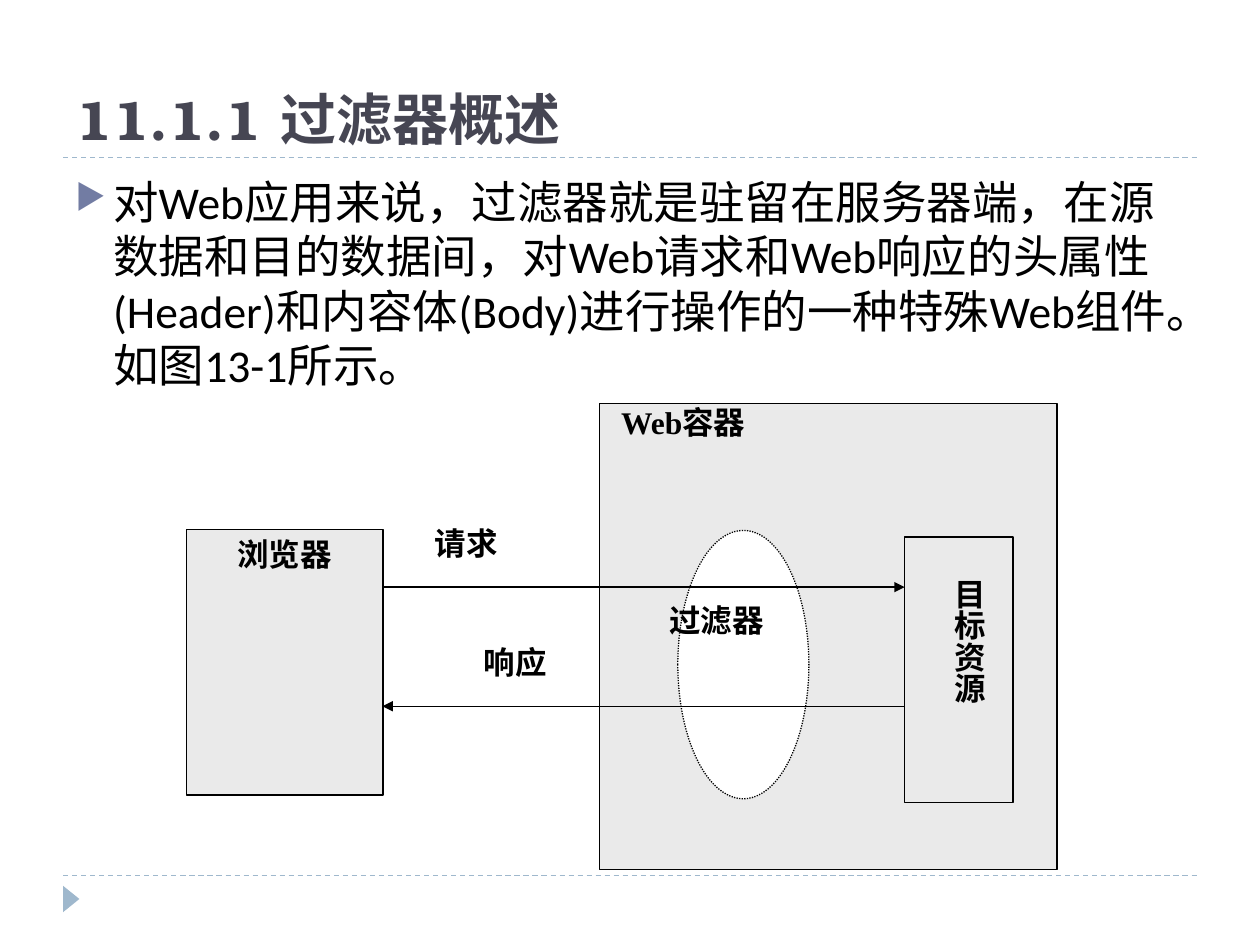
from lxml import etree
from pptx import Presentation
from pptx.dml.color import RGBColor
from pptx.enum.dml import MSO_LINE
from pptx.enum.shapes import MSO_CONNECTOR, MSO_SHAPE
from pptx.enum.text import MSO_ANCHOR, PP_ALIGN
from pptx.oxml.ns import qn
from pptx.util import Inches, Pt

RECT, OVAL, TRIANGLE = MSO_SHAPE.RECTANGLE, MSO_SHAPE.OVAL, MSO_SHAPE.ISOSCELES_TRIANGLE
STRAIGHT = MSO_CONNECTOR.STRAIGHT
DASH, DOT = MSO_LINE.DASH, MSO_LINE.ROUND_DOT
TOP, BOTTOM = MSO_ANCHOR.TOP, MSO_ANCHOR.BOTTOM
LEFT, CENTER = PP_ALIGN.LEFT, PP_ALIGN.CENTER
COLORS = {name: RGBColor.from_string(value) for name, value in {
    "rule": "9FB8CD", "title": "464653", "bullet": "727CA3",
    "black": "000000", "gray": "EAEAEA", "white": "FFFFFF"}.items()}
LABEL = {"name": "Times New Roman", "size": Pt(18), "bold": True}
TITLE = {"name": "TeX Gyre Bonum", "size": Pt(32), "bold": True}
BODY = {"name": "Calibri", "size": Pt(26), "bold": False}

prs = Presentation()
prs.slide_width, prs.slide_height = Inches(10), Inches(7.5)
s = prs.slides.add_slide(prs.slide_layouts[6])
U = prs.slide_width / 100


def write(sp, text, font, color="black", inset=(0, 0), anchor=TOP, align=LEFT):
    tf = sp.text_frame
    side, edge = (Inches(v) for v in inset)
    for key, value in {"word_wrap": True, "vertical_anchor": anchor,
                       "margin_left": side, "margin_right": side,
                       "margin_top": edge, "margin_bottom": edge}.items():
        setattr(tf, key, value)
    p = tf.paragraphs[0]
    p.alignment = align
    r = p.add_run()
    r.text = text
    for key, value in font.items():
        setattr(r.font, key, value)
    r.font.color.rgb = COLORS[color]
    return p


def connect(x1, y1, x2, y2, color):
    line = s.shapes.add_connector(STRAIGHT, *(round(v * U) for v in (x1, y1, x2, y2)))
    line.line.color.rgb = COLORS[color]
    line.line.width = Pt(0.75)
    etree.SubElement(line._element.spPr, qn("a:effectLst"))
    return line


for y in (69.5, 12.5):
    connect(5, y, 95, y, "rule").line.dash_style = DASH

shapes = {}
for name, kind, box, fill, width, dash in (
        ("marker", TRIANGLE, (4.6, 70.7, 2.1, 1.3), "rule", 0, None),
        ("container", RECT, (47.6, 32, 36.3, 37), "gray", 0.75, None),
        ("filter", OVAL, (53.8, 42.1, 10.4, 21.3), "white", 0.75, DOT),
        ("target", RECT, (71.8, 42.6, 8.6, 21.1), "gray", 1, None),
        ("browser", RECT, (14.8, 42, 15.6, 21.1), "gray", 0.75, None)):
    sp = s.shapes.add_shape(kind, *(round(v * U) for v in box))
    sp.shadow.inherit = False
    sp.fill.solid()
    sp.fill.fore_color.rgb = COLORS[fill]
    if width:
        sp.line.color.rgb = COLORS["black"]
        sp.line.width = Pt(width)
        sp.line.dash_style = dash
    else:
        sp.line.fill.background()
    shapes[name] = sp
shapes["marker"].rotation = 90
write(shapes["browser"], "浏览器", LABEL, inset=(0.1, 0.05), align=CENTER)

for x1, x2, y in ((30.35, 71.8, 46.6), (71.8, 30.35, 56.05)):
    ln = connect(x1, y, x2, y, "black").line._get_or_add_ln()
    etree.SubElement(ln, qn("a:tailEnd"), type="triangle")

paragraphs = {}
for text, box, style in (
        ("11.1.1 过滤器概述", (5, 1.7, 90, 10.8),
         {"font": TITLE, "color": "title", "inset": (0.1, 0.05), "anchor": BOTTOM}),
        ("对Web应用来说，过滤器就是驻留在服务器端，在源数据和目的数据间，"
         "对Web请求和Web响应的头属性(Header)和内容体(Body)进行操作的一种特殊Web组件。"
         "如图13-1所示。", (5, 13.3, 90, 54), {"font": BODY, "inset": (0.1, 0.05)}),
        ("过滤器", (53.1, 47.7, 12.1, 3), {"font": LABEL}),
        ("请求", (34.5, 41.6, 12.1, 3), {"font": LABEL}),
        ("响应", (38.4, 51, 12.1, 3), {"font": LABEL}),
        ("Web容器", (49.3, 32, 17.3, 5.3), {"font": LABEL}),
        ("目标资源", (75.4, 45.9, 3, 15.9), {"font": LABEL})):
    sp = s.shapes.add_textbox(*(round(v * U) for v in box))
    paragraphs[text[:2]] = write(sp, text, **style)
sp.text_frame._txBody.bodyPr.set("vert", "eaVert")

pPr = paragraphs["对W"]._p.get_or_add_pPr()
pPr.set("marL", str(Inches(0.3)))
pPr.set("indent", str(-Inches(0.3)))
color = etree.SubElement(pPr, qn("a:buClr"))
etree.SubElement(color, qn("a:srgbClr"), val=str(COLORS["bullet"]))
etree.SubElement(pPr, qn("a:buSzPct"), val="76000")
etree.SubElement(pPr, qn("a:buChar"), char="▶")

prs.save("out.pptx")
